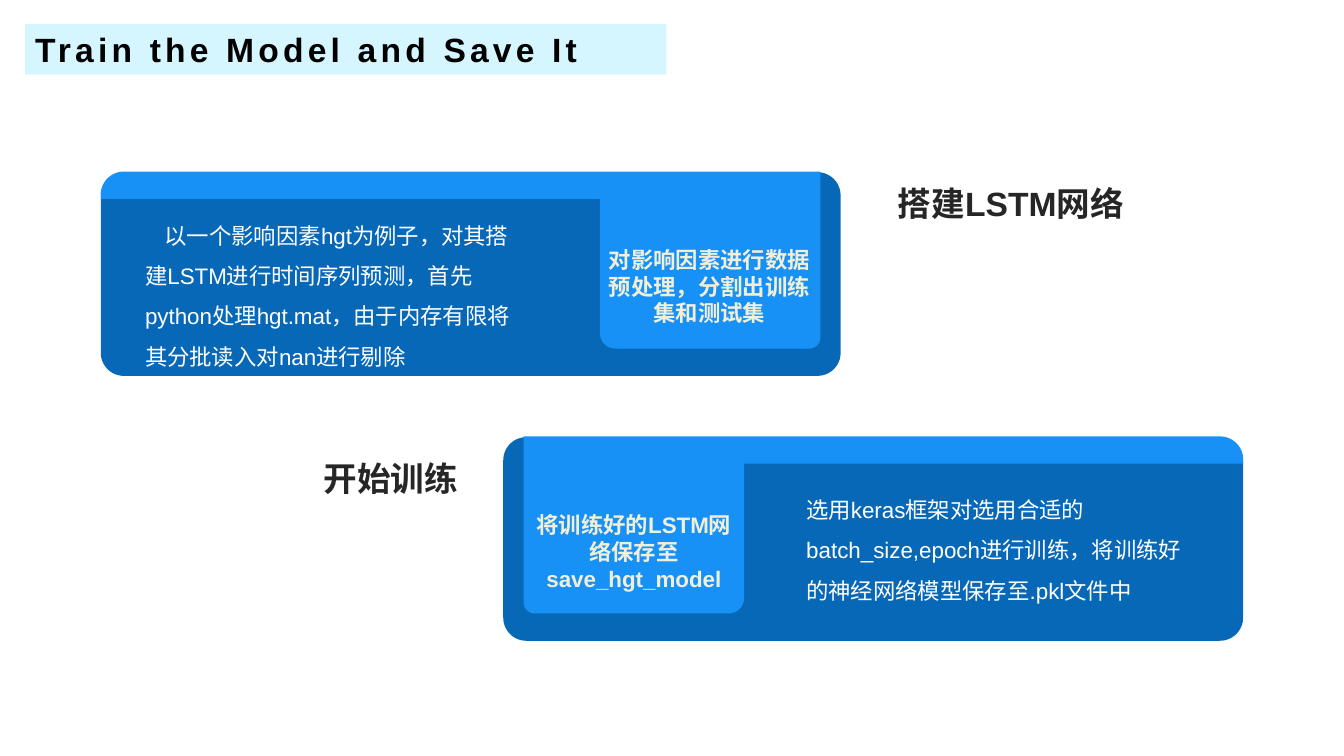
"""Build the slide on training and saving the model."""
import math
from dataclasses import dataclass

import pptx
import pptx.dml.color
import pptx.enum.shapes
import pptx.enum.text
import pptx.util

Pt = pptx.util.Pt
Align = pptx.enum.text.PP_ALIGN


@dataclass(frozen=True)
class Theme:
    font: str = "Arial"
    card: str = "0868B8"
    accent: str = "1791F5"
    title_fill: str = "D5F5FF"
    title: str = "000000"
    heading: str = "262626"
    tab_text: str = "F1EFD7"
    body_text: str = "FFFFFF"
    large: int = 24
    small: int = 16


THEME = Theme()
CARD_W, CARD_H, RADIUS = 528.5, 145.5, 16.5
TAB_LEFT, TAB_RIGHT, TAB_H, BAND_H = 356.5, 514, 126.5, 19.5


def rgb(value):
    return pptx.dml.color.RGBColor.from_string(value)


def paint(sp, color):
    sp.shadow.inherit = False
    sp.fill.solid()
    sp.fill.fore_color.rgb = rgb(color)
    sp.line.fill.background()


def add_text(s, box, text, size, color, bold=False, spacing=0, indent=0, **paragraph):
    sp = s.shapes.add_textbox(*map(Pt, box))
    tf = sp.text_frame
    tf.word_wrap = True
    tf.auto_size = pptx.enum.text.MSO_AUTO_SIZE.SHAPE_TO_FIT_TEXT
    p = tf.paragraphs[0]
    for name, value in paragraph.items():
        setattr(p, name, value)
    if indent:
        p._p.get_or_add_pPr().set("indent", str(Pt(indent)))
    r = p.add_run()
    r.text = text
    formats = {"name": THEME.font, "size": Pt(size), "bold": bold}
    for name, value in formats.items():
        setattr(r.font, name, value)
    r.font.color.rgb = rgb(color)
    if spacing:
        r._r.get_or_add_rPr().set("spc", str(spacing * 100))
    return sp


def corner(cx, cy, radius, start):
    angles = [math.radians(start + step) for step in range(0, 91, 10)]
    return [(cx + radius * math.cos(a), cy + radius * math.sin(a)) for a in angles]


def accent_outline():
    return [
        (TAB_RIGHT, 0),
        *corner(TAB_RIGHT - 8, TAB_H - 8, 8, 0),
        *corner(TAB_LEFT + 11, TAB_H - 11, 11, 90),
        (TAB_LEFT, BAND_H),
        (0, BAND_H),
        *corner(RADIUS, RADIUS, RADIUS, 180),
    ]


def add_card(s, left, top, mirrored=False):
    kind = pptx.enum.shapes.MSO_SHAPE.ROUNDED_RECTANGLE
    sp = s.shapes.add_shape(kind, Pt(left), Pt(top), Pt(CARD_W), Pt(CARD_H))
    sp.adjustments[0] = RADIUS / CARD_H
    paint(sp, THEME.card)
    points = [
        (Pt(left + (CARD_W - x if mirrored else x)), Pt(top - 0.5 + y))
        for x, y in accent_outline()
    ]
    builder = s.shapes.build_freeform(*points[0])
    builder.add_line_segments(points[1:], close=True)
    paint(builder.convert_to_shape(), THEME.accent)


def add_heading(s, box, text, alignment):
    add_text(s, box, text, THEME.large, THEME.heading, bold=True, alignment=alignment)


def add_tab_text(s, left, top, text):
    add_text(s, (left, top, 165.6, 65.5), text, THEME.small, THEME.tab_text,
             bold=True, alignment=Align.CENTER)


def add_body(s, box, text, indent=0):
    add_text(s, box, text, THEME.small, THEME.body_text, indent=indent, line_spacing=1.5)


def main():
    prs = pptx.Presentation()
    prs.slide_width, prs.slide_height = Pt(960), Pt(540)
    s = prs.slides.add_slide(prs.slide_layouts[6])

    add_card(s, 72, 123)
    add_card(s, 359.5, 312.2, mirrored=True)
    add_tab_text(s, 424, 172, "对影响因素进行数据预处理，分割出训练集和测试集")
    add_tab_text(s, 370, 361.5, "将训练好的LSTM网络保存至save_hgt_model")
    add_body(s, (96.5, 145.4, 286.6, 123.8),
             "以一个影响因素hgt为例子，对其搭建LSTM进行时间序列预测，"
             "首先python处理hgt.mat，由于内存有限将其分批读入对nan进行剔除", indent=14)
    add_body(s, (568.8, 341.3, 286.6, 94.3),
             "选用keras框架对选用合适的batch_size,epoch进行训练，"
             "将训练好的神经网络模型保存至.pkl文件中")
    add_heading(s, (634.3, 127.4, 176.4, 36), "搭建LSTM网络", Align.LEFT)
    add_heading(s, (157.7, 323.3, 176.4, 36), "开始训练", Align.RIGHT)
    title = add_text(s, (18, 17.3, 458, 36), "Train the Model and Save It",
                     THEME.large, THEME.title, bold=True, spacing=3)
    paint(title, THEME.title_fill)
    prs.save("out.pptx")


if __name__ == "__main__":
    main()
